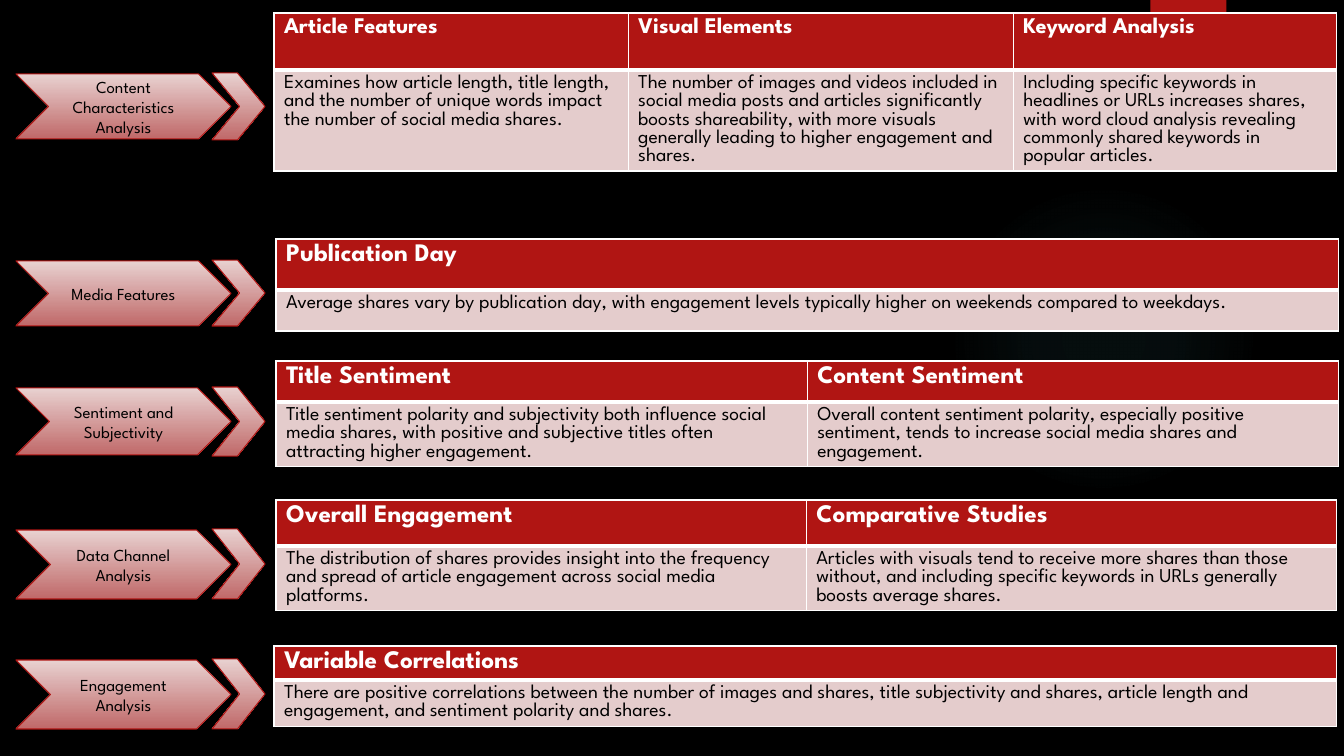
import pptx
import pptx.dml.color
import pptx.enum.shapes
import pptx.enum.text
import pptx.oxml
import pptx.oxml.ns
import pptx.util

SHAPE = pptx.enum.shapes.MSO_SHAPE


def color(value):
    return pptx.dml.color.RGBColor.from_string(value)


class Board:
    font = "League Spartan"
    red = "B01513"
    pale = "E4CCCC"
    white = "FFFFFF"
    black = "000000"
    chevron_top = "E8D1D0"
    chevron_bottom = "C06969"
    glow = "50B9C1"
    scale = 914400 / 100.8

    def __init__(self, deck):
        self.page = deck.slides.add_slide(deck.slide_layouts[6])
        background = self.page.background.fill
        background.solid()
        background.fore_color.rgb = color(self.black)

    def px(self, *lengths):
        return [pptx.util.Emu(round(length * self.scale)) for length in lengths]

    def shape(self, kind, *place):
        shape = self.page.shapes.add_shape(kind, *self.px(*place))
        shape.shadow.inherit = False
        shape.line.fill.background()
        return shape

    def rectangle(self, *place):
        tag = self.shape(SHAPE.RECTANGLE, *place)
        tag.fill.solid()
        tag.fill.fore_color.rgb = color(self.red)

    def halo(self, *place):
        ellipse = self.shape(SHAPE.OVAL, *place)
        ellipse.fill.gradient()
        stops = "".join(
            f'<a:gs pos="{position}000"><a:srgbClr val="{self.glow}">'
            f'<a:alpha val="{opacity}000"/></a:srgbClr></a:gs>'
            for position, opacity in ((0, 7), (36, 6), (69, 0)))
        gradient = pptx.oxml.parse_xml(
            f'<a:gradFill {pptx.oxml.ns.nsdecls("a")} rotWithShape="1">'
            f'<a:gsLst>{stops}</a:gsLst><a:path path="circle">'
            '<a:fillToRect l="50000" t="50000" r="50000" b="50000"/></a:path></a:gradFill>')
        properties = ellipse._element.spPr
        properties.replace(properties.find(pptx.oxml.ns.qn("a:gradFill")), gradient)

    def chevron(self, place, point=0.5, text=""):
        arrow = self.shape(SHAPE.CHEVRON, *place)
        arrow.adjustments[0] = point
        arrow.fill.gradient()
        arrow.fill.gradient_angle = 270
        for stop, position, value in zip(arrow.fill.gradient_stops, (0, 1),
                                         (self.chevron_top, self.chevron_bottom)):
            stop.position = position
            stop.color.rgb = color(value)
        arrow.line.color.rgb = color(self.red)
        arrow.line.width = pptx.util.Pt(0.75)
        if text:
            frame = arrow.text_frame
            frame.text = text
            frame.vertical_anchor = pptx.enum.text.MSO_ANCHOR.MIDDLE
            for para in frame.paragraphs:
                para.alignment = pptx.enum.text.PP_ALIGN.CENTER
                self.format(para, 12, self.black)

    def format(self, para, size, value, bold=False):
        for span in para.runs:
            span.font.name = self.font
            span.font.size = pptx.util.Pt(size)
            span.font.bold = bold
            span.font.color.rgb = color(value)

    def borders(self, cell, top, bottom):
        properties = cell._tc.get_or_add_tcPr()
        for side, points in (("L", 1), ("R", 1), ("T", top), ("B", bottom)):
            properties.append(pptx.oxml.parse_xml(
                f'<a:ln{side} {pptx.oxml.ns.nsdecls("a")} w="{points * 12700}">'
                f'<a:solidFill><a:srgbClr val="{self.white}"/></a:solidFill></a:ln{side}>'))

    def table(self, left, top, widths, heights, head_size, columns):
        frame = self.page.shapes.add_table(
            2, len(columns), *self.px(left, top, sum(widths), sum(heights)))
        grid = frame.table
        for row, height in zip(grid.rows, self.px(*heights)):
            row.height = height
        for column, width in zip(grid.columns, self.px(*widths)):
            column.width = width
        looks = ((self.red, head_size, self.white, True, 1, 3),
                 (self.pale, 14, self.black, False, 3, 1))
        for index, texts in enumerate(columns):
            for row, (text, look) in enumerate(zip(texts, looks)):
                fill, size, ink, bold, above, below = look
                cell = grid.cell(row, index)
                self.borders(cell, above, below)
                cell.fill.solid()
                cell.fill.fore_color.rgb = color(fill)
                cell.text_frame.text = text
                self.format(cell.text_frame.paragraphs[0], size, ink, bold)


SECTIONS = [
    ("Content Characteristics Analysis", 74, 65, 67, (274, 13, (354, 385, 323), (57, 101), 16), [
        ("Article Features",
         "Examines how article length, title length, and the number of unique words impact "
         "the number of social media shares."),
        ("Visual Elements",
         "The number of images and videos included in social media posts and articles "
         "significantly boosts shareability, with more visuals generally leading to higher "
         "engagement and shares."),
        ("Keyword Analysis",
         "Including specific keywords in headlines or URLs increases shares, with word cloud "
         "analysis revealing commonly shared keywords in popular articles.")]),
    ("Media Features", 261, 65, 66, (276, 239, (1062,), (51, 41), 18), [
        ("Publication Day",
         "Average shares vary by publication day, with engagement levels typically higher on "
         "weekends compared to weekdays.")]),
    ("Sentiment and Subjectivity", 388, 67, 69, (276, 361, (531, 531), (41, 64), 18), [
        ("Title Sentiment",
         "Title sentiment polarity and subjectivity both influence social media shares, with "
         "positive and subjective titles often attracting higher engagement."),
        ("Content Sentiment",
         "Overall content sentiment polarity, especially positive sentiment, tends to increase "
         "social media shares and engagement.")]),
    ("Data Channel\nAnalysis", 530, 69, 70, (276, 500, (530, 530), (46, 64), 18), [
        ("Overall Engagement",
         "The distribution of shares provides insight into the frequency and spread of article "
         "engagement across social media platforms."),
        ("Comparative Studies",
         "Articles with visuals tend to receive more shares than those without, and including "
         "specific keywords in URLs generally boosts average shares.")]),
    ("Engagement Analysis", 660, 69, 70, (274, 646, (1062,), (34, 46), 18), [
        ("Variable Correlations",
         "There are positive correlations between the number of images and shares, title "
         "subjectivity and shares, article length and engagement, and sentiment polarity and "
         "shares.")]),
]


def main():
    deck = pptx.Presentation()
    deck.slide_width = pptx.util.Inches(13.33)
    deck.slide_height = pptx.util.Inches(7.5)
    board = Board(deck)
    board.halo(948, 184, 310, 310)
    board.rectangle(1150, 0, 76, 126)
    for label, top, height, tip_height, layout, columns in SECTIONS:
        board.chevron((16, top, 215, height), text=label)
        board.chevron((212, top - 1, 53, tip_height), point=0.52)
        board.table(*layout, columns)
    deck.save("out.pptx")


if __name__ == "__main__":
    main()
